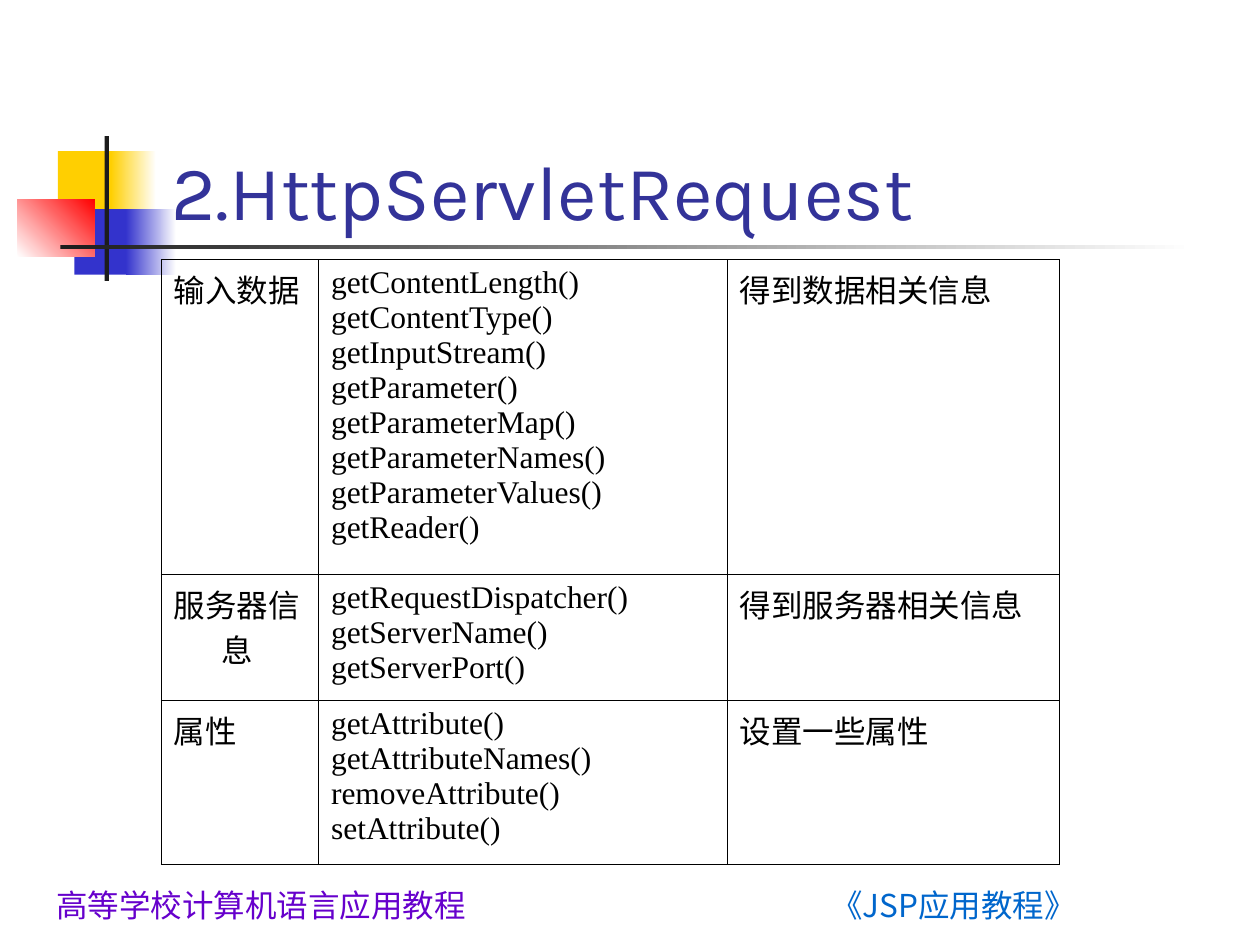
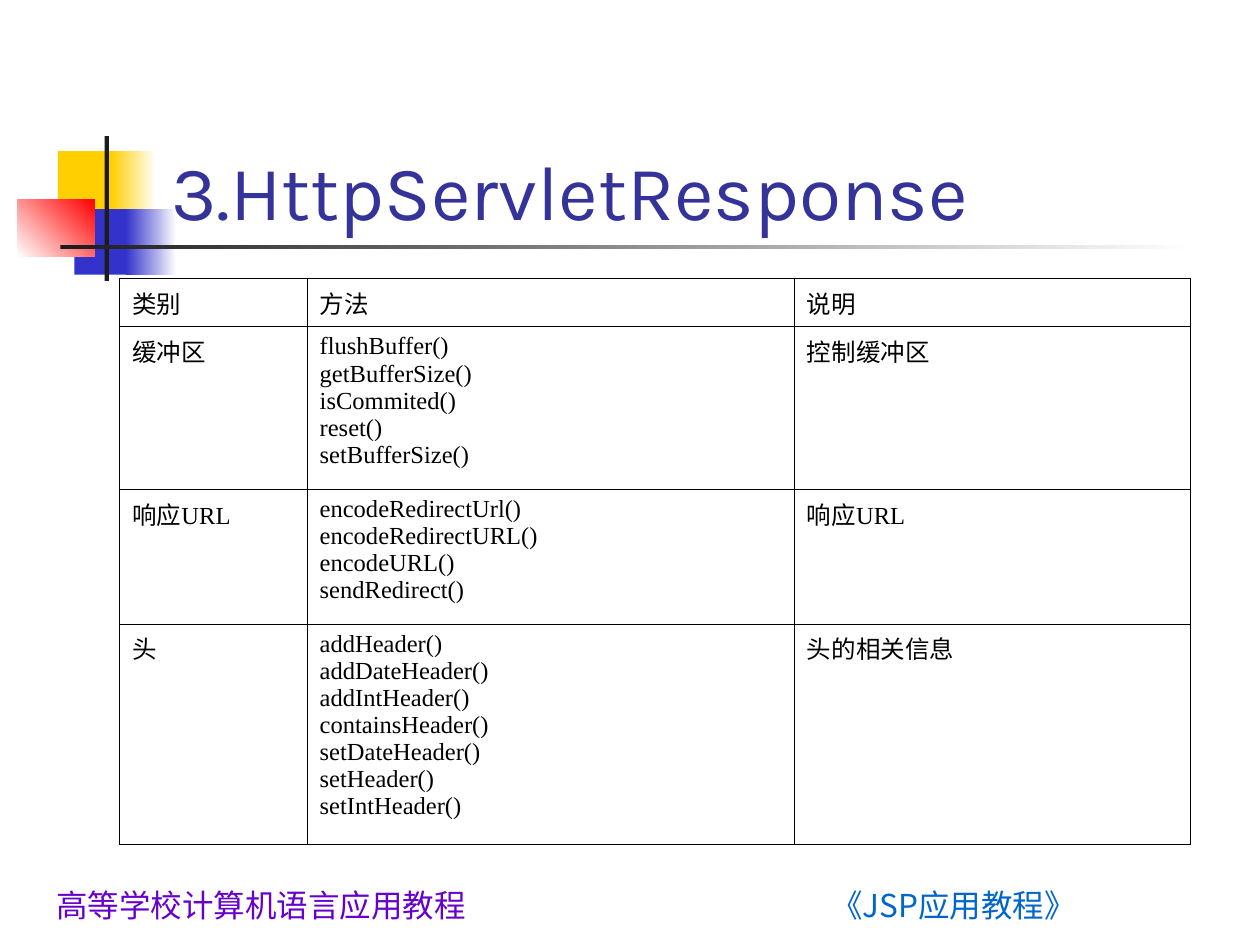
from dataclasses import dataclass

from lxml import etree
from pptx import Presentation, util as u
from pptx.dml.color import RGBColor
from pptx.enum import shapes, text
from pptx.oxml.ns import qn


@dataclass(frozen=True)
class Theme:
    yellow: str = "FFCF01"
    blue: str = "3333CC"
    red: str = "FF0000"
    white: str = "FFFFFF"
    dark: str = "1C1C1C"
    black: str = "000000"
    title: str = "333399"
    title_font: str = "Karla"
    table_font: str = "Times New Roman"
    cjk_font: str = "Noto Sans CJK SC"
    title_size: int = 44
    footer_size: int = 18


theme = Theme()
prs = Presentation()
prs.slide_width, prs.slide_height = u.Inches(10), u.Inches(7.5)
unit = prs.slide_width // 100  # the slide is a grid of 100 columns by 75 rows


def paint(fill, colors, angle=0):
    """Fill with one colour, or with a gradient between two (angle counter-clockwise)."""
    if len(colors) == 1:
        fill.solid()
        fill.fore_color.rgb = RGBColor.from_string(colors[0])
        return
    fill.gradient()
    fill.gradient_angle = angle
    for stop, color in zip(fill.gradient_stops, colors):
        stop.color.rgb = RGBColor.from_string(color)


def style(paragraph, size, face, colors, angle=0):
    font = paragraph.font
    font.size, font.name = u.Pt(size), face
    paint(font.fill, colors, angle)
    properties = paragraph._p.get_or_add_pPr().get_or_add_defRPr()
    etree.SubElement(properties, qn("a:ea"), typeface=theme.cjk_font)
    return properties


# Grid box, colours, gradient angle
ornaments = [
    ((4.6, 12, 4.8, 5.2), [theme.yellow], 0),
    ((8.8, 12, 3.6, 5.2), [theme.yellow, theme.white], 0),
    ((5.9, 16.6, 4.6, 5.2), [theme.blue], 0),
    ((10, 16.6, 4, 5.2), [theme.blue, theme.white], 0),
    ((1.4, 15.8, 6.1, 4.6), [theme.white, theme.red], 45),
    ((8.3, 10.8, 0.35, 11.5), [theme.dark], 0),
    ((4.8, 19.45, 90, 0.35), [theme.dark, theme.white], 0),
]

# Wording, grid box, colours, gradient angle, outline colour and width
footers = [
    ("《JSP应用教程》", (65, 69.8, 35, 2.8), ["0066CC"], 0, "99CCFF", 1.5),
    ("高等学校计算机语言应用教程", (3.5, 69.8, 50.4, 5.2),
     ["6600CC", "CC00CC"], 270, "CC99FF", 0.75),
]

column_shares = (0.175, 0.455, 0.37)

# Title, table left, top and width, row heights, type size, rows
pages = [
    ("2.HttpServletRequest", (12.8, 20.6, 71.3), (25, 10, 13), 18, [
        ("输入数据",
         "getContentLength() getContentType() getInputStream() getParameter() "
         "getParameterMap() getParameterNames() getParameterValues() getReader()",
         "得到数据相关信息"),
        ("服务器信息",
         "getRequestDispatcher() getServerName() getServerPort()",
         "得到服务器相关信息"),
        ("属性",
         "getAttribute() getAttributeNames() removeAttribute() setAttribute()",
         "设置一些属性"),
    ]),
    ("3.HttpServletResponse", (9.5, 22.1, 85), (3.8, 12.9, 10.7, 17.5), 14, [
        ("类别", "方法", "说明"),
        ("缓冲区",
         "flushBuffer() getBufferSize() isCommited() reset() setBufferSize()",
         "控制缓冲区"),
        ("响应URL",
         "encodeRedirectUrl() encodeRedirectURL() encodeURL() sendRedirect()",
         "响应URL"),
        ("头",
         "addHeader() addDateHeader() addIntHeader() containsHeader() "
         "setDateHeader() setHeader() setIntHeader()",
         "头的相关信息"),
    ]),
]

for heading, (left, top, width), row_heights, size, rows in pages:
    slide = prs.slides.add_slide(prs.slide_layouts[5])

    for box, colors, angle in ornaments:
        ornament = slide.shapes.add_shape(
            shapes.MSO_SHAPE.RECTANGLE, *(round(n * unit) for n in box))
        ornament.shadow.inherit = False
        ornament.line.fill.background()
        paint(ornament.fill, colors, angle)

    for wording, box, colors, angle, outline, outline_width in footers:
        footer = slide.shapes.add_textbox(*(round(n * unit) for n in box))
        footer.text_frame.word_wrap = False
        footer.text_frame.text = wording
        properties = style(footer.text_frame.paragraphs[0], theme.footer_size,
                           theme.cjk_font, colors, angle)
        line = etree.Element(qn("a:ln"), w=str(u.Pt(outline_width)))
        solid = etree.SubElement(line, qn("a:solidFill"))
        etree.SubElement(solid, qn("a:srgbClr"), val=outline)
        properties.insert(0, line)

    title = slide.shapes.title
    title.left, title.top, title.width, title.height = (
        round(n * unit) for n in (12.6, 6.7, 85.2, 12.5))
    title.text_frame.text = heading
    title.text_frame.auto_size = text.MSO_AUTO_SIZE.NONE
    title.text_frame.vertical_anchor = text.MSO_ANCHOR.BOTTOM
    title.text_frame.paragraphs[0].alignment = text.PP_ALIGN.LEFT
    style(title.text_frame.paragraphs[0], theme.title_size, theme.title_font, [theme.title])
    slide.shapes._spTree.append(title._element)  # in front of the ornaments

    methods = slide.shapes.add_table(
        len(rows), len(column_shares), round(left * unit), round(top * unit),
        round(width * unit), round(sum(row_heights) * unit)).table
    methods.first_row = methods.horz_banding = False
    for column, share in zip(methods.columns, column_shares):
        column.width = round(share * width * unit)
    for row, height, contents in zip(methods.rows, row_heights, rows):
        row.height = round(height * unit)
        for cell, content in zip(row.cells, contents):
            cell.fill.background()
            for order, side in enumerate(("lnL", "lnR", "lnT", "lnB")):
                border = etree.Element(qn(f"a:{side}"), w=str(u.Pt(0.45)))
                solid = etree.SubElement(border, qn("a:solidFill"))
                etree.SubElement(solid, qn("a:srgbClr"), val=theme.black)
                cell._tc.get_or_add_tcPr().insert(order, border)
            cell.text_frame.text = "\n".join(content.split())
            for paragraph in cell.text_frame.paragraphs:
                style(paragraph, size, theme.table_font, [theme.black])
                hanging = paragraph._p.get_or_add_pPr()
                hanging.set("marL", str(u.Inches(0.38)))
                hanging.set("indent", str(-u.Inches(0.38)))

prs.save("out.pptx")
